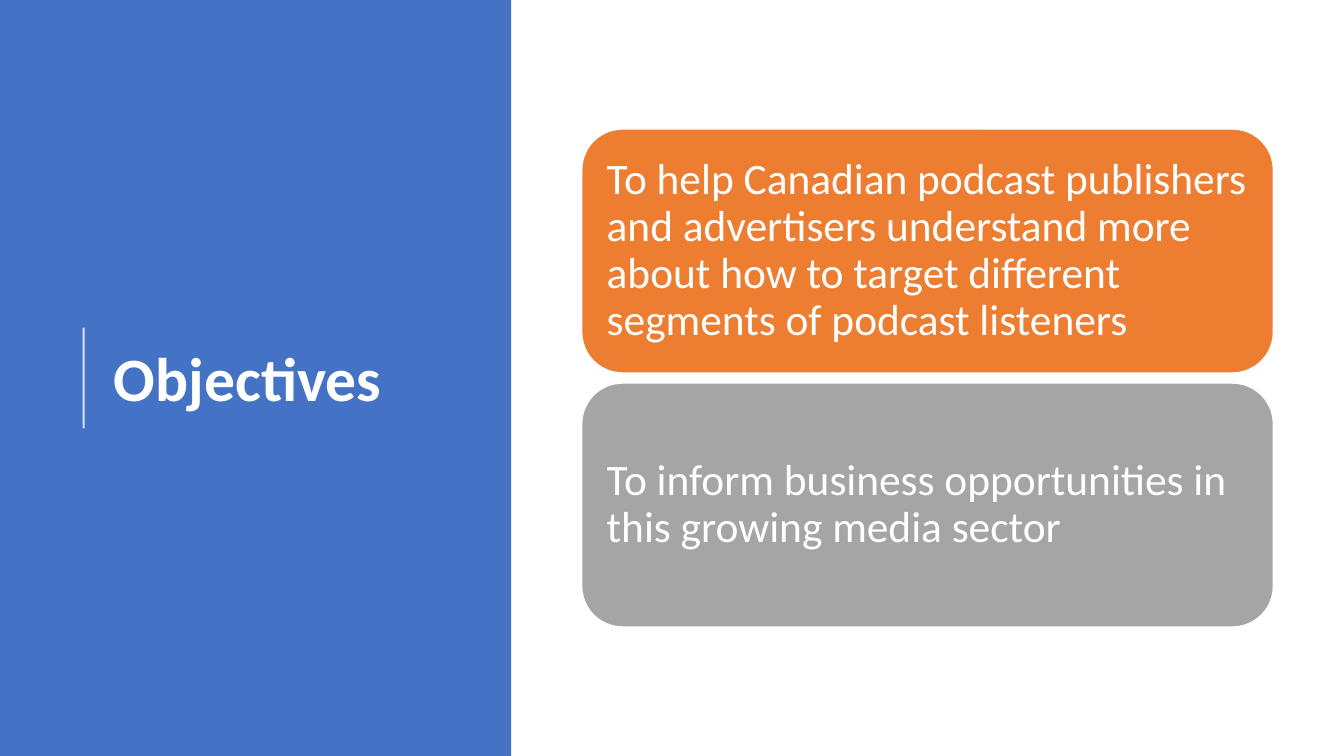
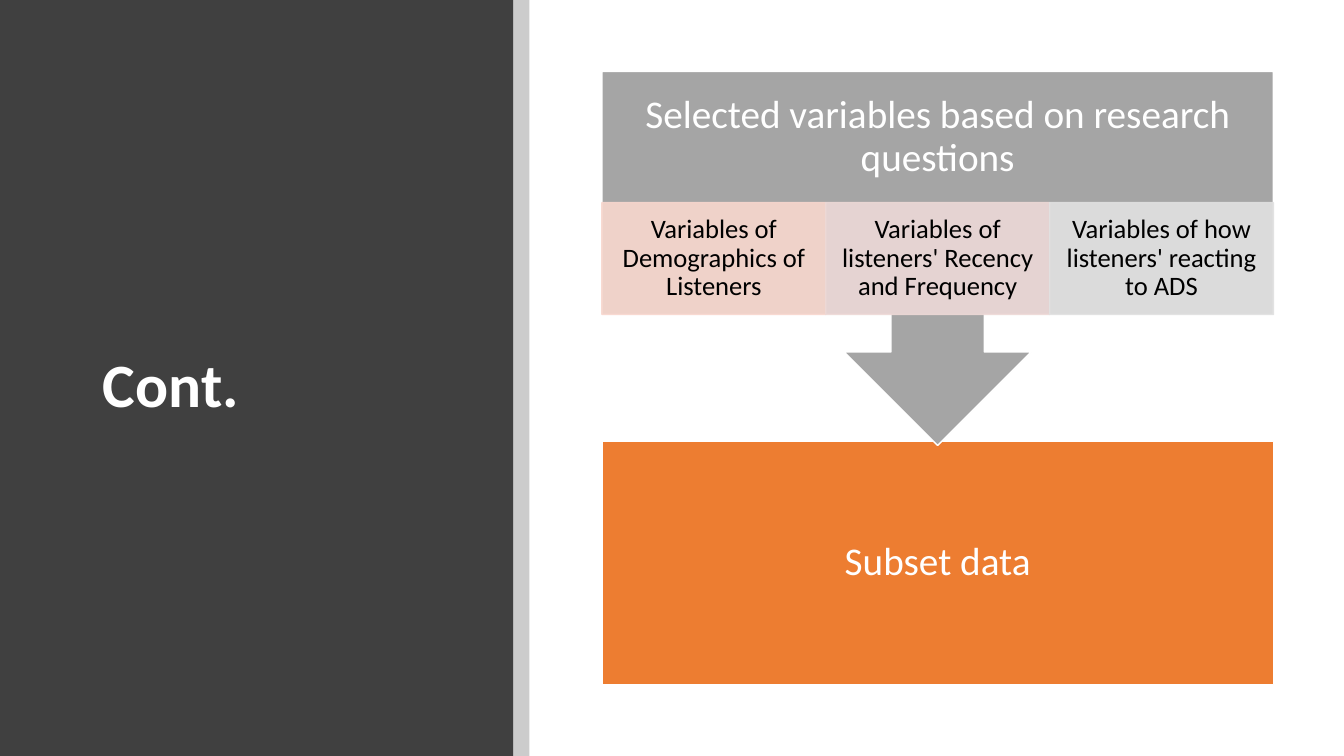
from lxml import etree
from pptx import Presentation
from pptx.dml.color import RGBColor
from pptx.enum.shapes import MSO_CONNECTOR, MSO_SHAPE
from pptx.enum.text import MSO_ANCHOR, MSO_AUTO_SIZE, PP_ALIGN
from pptx.oxml.ns import qn
from pptx.util import Emu, Pt

RECTANGLE = MSO_SHAPE.RECTANGLE
ROUNDED = MSO_SHAPE.ROUNDED_RECTANGLE
DOWN_CALLOUT = MSO_SHAPE.DOWN_ARROW_CALLOUT
STRAIGHT = MSO_CONNECTOR.STRAIGHT
LEFT, CENTER = PP_ALIGN.LEFT, PP_ALIGN.CENTER
MIDDLE = MSO_ANCHOR.MIDDLE
NO_AUTOFIT = MSO_AUTO_SIZE.NONE

# Lengths are whole px, 100 to the inch
EMU_PER_PX = 9144
SLIDE_WIDTH, SLIDE_HEIGHT = 1333, 750
TITLE_ONLY_LAYOUT = 5
FONT = "Calibri"
COLORS = {
    "blue": "4472C4",
    "charcoal": "404040",
    "orange": "ED7D31",
    "gray": "A5A5A5",
    "white": "FFFFFF",
    "black": "000000",
    "peach": "F8D7CE",
    "rose": "EDD9D7",
    "silver": "E1E1E1",
}


def px(length):
    return Emu(length * EMU_PER_PX)


def color(name):
    return RGBColor.from_string(COLORS[name])


def set_opacity(shape, percent):
    """Apply one opacity to the fill and line colours of a shape."""
    for element in shape._element.spPr.iter(qn("a:srgbClr")):
        etree.SubElement(element, qn("a:alpha")).set("val", str(percent * 1000))


def write_text(shape, text, size, font_color="white", bold=False,
               align=LEFT, insets=(10, 5, 10, 5)):
    frame = shape.text_frame
    frame.word_wrap = True
    frame.auto_size = NO_AUTOFIT
    frame.vertical_anchor = MIDDLE
    (frame.margin_left, frame.margin_top,
     frame.margin_right, frame.margin_bottom) = map(px, insets)
    frame.text = text
    paragraph = frame.paragraphs[0]
    paragraph.alignment = align
    paragraph.line_spacing = 0.9
    font = paragraph.runs[0].font
    font.name, font.size, font.bold = FONT, Pt(size), bold
    font.color.rgb = color(font_color)


def add_box(slide, kind, box, fill, line=None, opacity=100):
    shape = slide.shapes.add_shape(kind, *map(px, box))
    shape.shadow.inherit = False
    shape.fill.solid()
    shape.fill.fore_color.rgb = color(fill)
    if line:
        shape.line.color.rgb = color(line)
        shape.line.width = Pt(1)
    else:
        shape.line.fill.background()
    if opacity < 100:
        set_opacity(shape, opacity)
    return shape


def add_title_slide(presentation, title, title_box, panel_color, panel_width):
    """Start a slide with a full-height colour panel behind its title."""
    layout = presentation.slide_layouts[TITLE_ONLY_LAYOUT]
    slide = presentation.slides.add_slide(layout)
    panel = add_box(slide, RECTANGLE, (0, 0, panel_width, SLIDE_HEIGHT), panel_color)
    heading = slide.shapes.title
    heading._element.addprevious(panel._element)
    heading.left, heading.top, heading.width, heading.height = map(px, title_box)
    write_text(heading, title, 44, bold=True)
    return slide


def add_accent_line(slide, x, top, bottom):
    line = slide.shapes.add_connector(STRAIGHT, px(x), px(bottom), px(x), px(top))
    line.line.color.rgb = color("white")
    line.line.width = Pt(1.5)
    set_opacity(line, 80)
    etree.SubElement(line._element.spPr, qn("a:effectLst"))


def build_objectives(presentation):
    slide = add_title_slide(presentation, "Objectives", (103, 78, 369, 602), "blue", 507)
    add_accent_line(slide, 83, 325, 425)

    # Stacked objective cards
    objectives = [
        ("To help Canadian podcast publishers and advertisers understand more "
         "about how to target different segments of podcast listeners", "orange"),
        ("To inform business opportunities in this growing media sector", "gray"),
    ]
    top, height, gap = 128, 242, 10
    for index, (text, fill) in enumerate(objectives):
        card_box = (577, top + index * (height + gap), 686, height)
        card = add_box(slide, ROUNDED, card_box, fill, line="white")
        write_text(card, text, 31, insets=(13, 13, 13, 13))


def build_variables(presentation):
    panel_width = 509
    slide = add_title_slide(presentation, "Cont.", (92, 89, 365, 591),
                            "charcoal", panel_width)
    add_box(slide, RECTANGLE, (panel_width, 0, 16, SLIDE_HEIGHT), "black", opacity=20)

    # Result, then the callout that points down to it
    left, top, width = 597, 71, 666
    heading_height, tile_height, inset = 130, 111, 22
    result = add_box(slide, RECTANGLE, (left, 438, width, 241), "orange", line="white")
    write_text(result, "Subset data", 28, align=CENTER, insets=(inset,) * 4)
    callout = add_box(slide, DOWN_CALLOUT, (left, top, width, 371), "gray", line="white")
    write_text(callout, "Selected variables based on research questions", 28,
               align=CENTER, insets=(inset, inset, inset, inset + tile_height))

    # Row of variable groups along the foot of the callout
    groups = [
        ("Variables of Demographics of Listeners", "peach"),
        ("Variables of listeners' Recency and Frequency", "rose"),
        ("Variables of how listeners' reacting to ADS", "silver"),
    ]
    tile_width = width // len(groups)
    for index, (text, fill) in enumerate(groups):
        tile_box = (left + index * tile_width, top + heading_height, tile_width, tile_height)
        tile = add_box(slide, RECTANGLE, tile_box, fill, line=fill, opacity=90)
        write_text(tile, text, 19, font_color="black", align=CENTER,
                   insets=(15, 3, 15, 3))


def main():
    presentation = Presentation()
    presentation.slide_width = px(SLIDE_WIDTH)
    presentation.slide_height = px(SLIDE_HEIGHT)
    build_objectives(presentation)
    build_variables(presentation)
    presentation.save("out.pptx")


if __name__ == "__main__":
    main()
